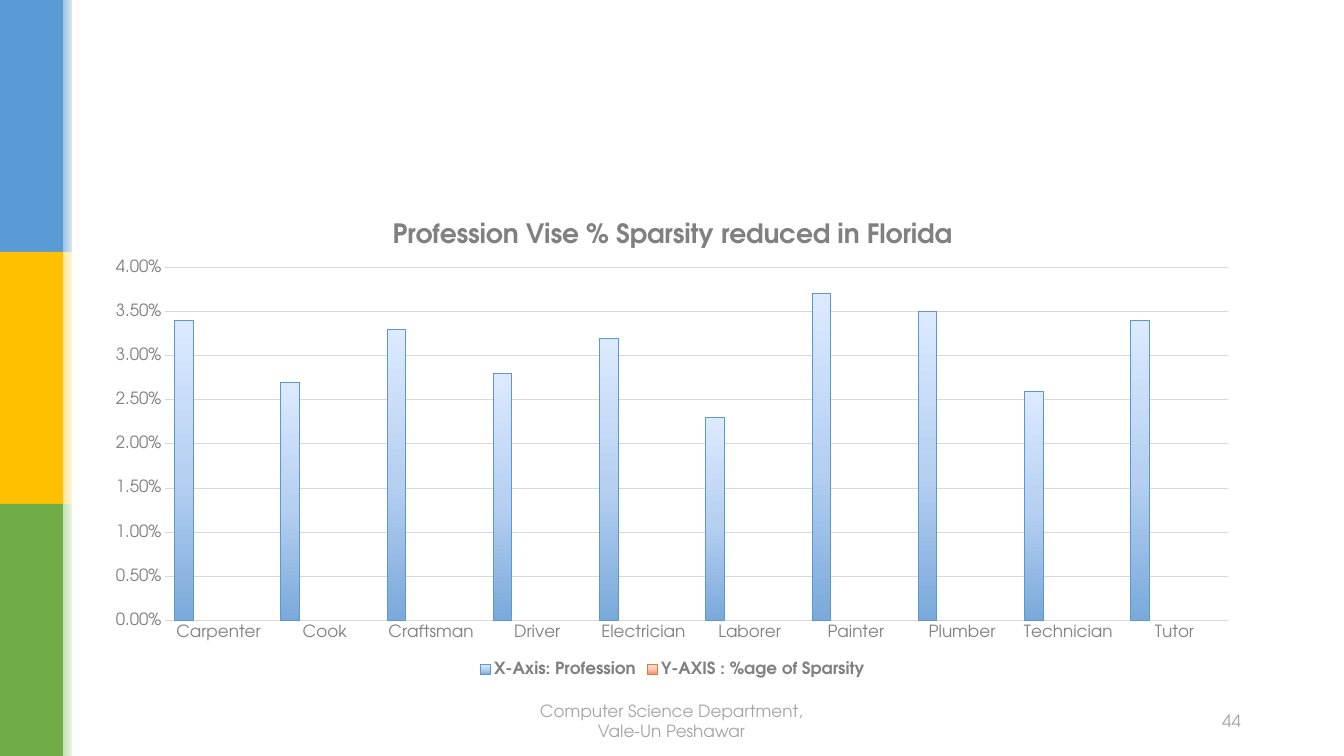
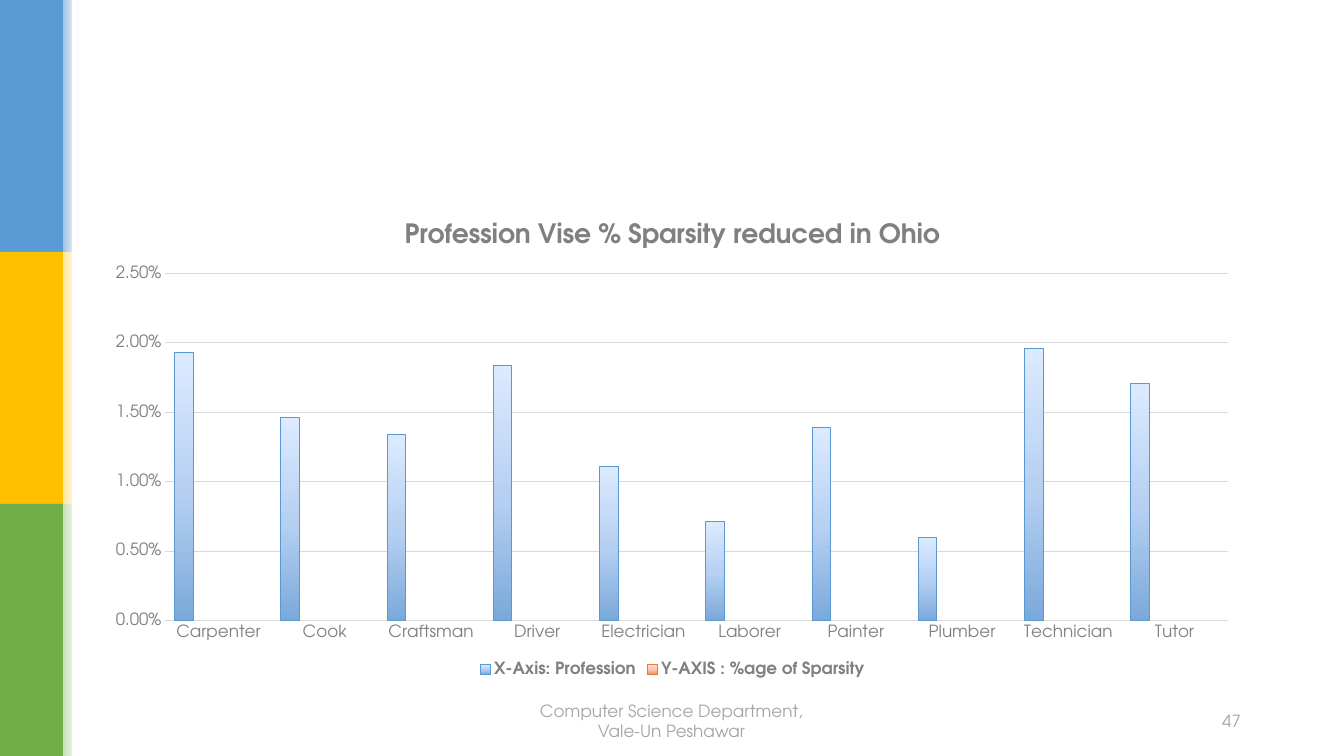
from pptx import Presentation
from pptx.chart.data import CategoryChartData as Data
from pptx.dml.color import RGBColor as RGB
from pptx.enum.chart import XL_CHART_TYPE as Kind, XL_LEGEND_POSITION as Side, XL_TICK_MARK as Tick
from pptx.enum.shapes import MSO_SHAPE as Form
from pptx.enum.text import MSO_ANCHOR as Anchor, PP_ALIGN as Align
from pptx.oxml import parse_xml
from pptx.oxml.ns import nsdecls, qn
from pptx.util import Cm, Pt

FONT = "TeX Gyre Adventor"
WHITE = RGB(0xFF, 0xFF, 0xFF)
BLUE = RGB(0x5B, 0x9B, 0xD5)
GOLD = RGB(0xFF, 0xC0, 0x00)
GREEN = RGB(0x70, 0xAD, 0x47)
SKY = RGB(0x9D, 0xC3, 0xE6)
CREAM = RGB(0xFF, 0xE6, 0x99)
MINT = RGB(0xC5, 0xE0, 0xB4)
GRAY = RGB(0x80, 0x80, 0x80)
SILVER = RGB(0xA5, 0xA5, 0xA5)
RULE = RGB(0xD9, 0xD9, 0xD9)

BANDS = [(BLUE, SKY), (GOLD, CREAM), (GREEN, MINT)]
JOBS = ["Carpenter", "Cook", "Craftsman", "Driver", "Electrician",
        "Laborer", "Painter", "Plumber", "Technician", "Tutor"]
SERIES = [
    ("X-Axis: Profession", RGB(0x59, 0x98, 0xD0),
     [(0, RGB(0x7A, 0xA9, 0xDA)), (48, RGB(0xB6, 0xD0, 0xF2)), (100, RGB(0xDC, 0xEA, 0xFF))]),
    ("Y-AXIS : %age of Sparsity", RGB(0xE8, 0x7A, 0x30),
     [(0, RGB(0xEF, 0x91, 0x66)), (48, RGB(0xFF, 0xC2, 0xAF)), (100, RGB(0xFF, 0xE6, 0xDF))]),
    ("Series 3", RGB(0xA1, 0xA1, 0xA1),
     [(0, RGB(0xB1, 0xB1, 0xB1)), (48, RGB(0xD5, 0xD5, 0xD5)), (100, RGB(0xED, 0xED, 0xED))]),
    ("Series 4", RGB(0xF9, 0xBC, 0x00),
     [(0, RGB(0xFF, 0xC7, 0x5E)), (48, RGB(0xFF, 0xE0, 0xB6)), (100, RGB(0xFF, 0xF2, 0xE2))]),
]
STATES = [
    ("Florida", "44", 0.04, 1.66,
     [0.034, 0.027, 0.033, 0.028, 0.032, 0.023, 0.037, 0.035, 0.026, 0.034]),
    ("Ohio", "47", 0.025, 1.81,
     [0.0193, 0.0146, 0.0134, 0.0184, 0.0111, 0.0071, 0.0139, 0.006, 0.0196, 0.0171]),
]
WIDE, HIGH = 29.21, 12.09
BASE = 10.56


def write(frame, text, size=12, color=SILVER, bold=False, align=Align.CENTER):
    frame.text = text
    para = frame.paragraphs[0]
    para.alignment = align
    font = para.runs[0].font
    font.name, font.size, font.bold = FONT, Pt(size), bold
    font.color.rgb = color


def fade(props, angle, stops):
    marks = "".join(f'<a:gs pos="{pos * 1000}"><a:srgbClr val="{color}"/></a:gs>'
                    for pos, color in stops)
    grad = parse_xml(f'<a:gradFill {nsdecls("a")} rotWithShape="1"><a:gsLst>{marks}</a:gsLst>'
                     f'<a:lin ang="{angle * 60000}" scaled="0"/></a:gradFill>')
    props.replace(props.find(qn("a:noFill")), grad)


deck = Presentation()
deck.slide_width, deck.slide_height = Cm(33.87), Cm(19.05)
blank = deck.slide_layouts[6]
slides = [deck.slides.add_slide(blank) for state in STATES]

tall = 19.05 / len(BANDS)
parts = []
for row, (solid, pale) in enumerate(BANDS):
    parts.append((0, row * tall, 1.59, tall, solid, None))
    parts.append((1.59, row * tall, 0.4, tall, None, pale))
parts.append((1.81, 0, 0.13, 19.05, WHITE, None))
for left, top, wide, high, solid, pale in parts:
    band = slides[0].shapes.add_shape(Form.RECTANGLE, Cm(left), Cm(top), Cm(wide), Cm(high))
    band.shadow.inherit = False
    band.line.fill.background()
    if solid:
        band.fill.solid()
        band.fill.fore_color.rgb = solid
    else:
        band.fill.background()
        fade(band.element.spPr, 0, [(0, pale), (100, WHITE)])
    blank.shapes.element.append(band.element)

for slide, (state, page, peak, top, rates) in zip(slides, STATES):
    data = Data(number_format="0.00%")
    data.categories = JOBS
    for index, (name, edge, stops) in enumerate(SERIES):
        data.add_series(name, rates if index == 0 else [None] * len(JOBS))
    chart = slide.shapes.add_chart(Kind.COLUMN_CLUSTERED, Cm(2.34), Cm(5.08),
                                   Cm(WIDE), Cm(HIGH), data).chart
    chart.font.name, chart.font.size = FONT, Pt(10)
    write(chart.chart_title.text_frame, f"Profession Vise % Sparsity reduced in {state}",
          size=19, color=GRAY, bold=True)

    plot = chart.plots[0]
    plot.gap_width, plot.overlap, plot.vary_by_categories = 100, -24, False
    root = chart.element
    for bars, (name, edge, stops) in zip(plot.series, SERIES):
        bars.format.fill.background()
        bars.format.line.color.rgb = edge
        bars.format.line.width = Pt(0.75)
    for props, (name, edge, stops) in zip(root.xpath(".//c:ser/c:spPr"), SERIES):
        fade(props, 270, stops)

    chart.has_legend = True
    legend = chart.legend
    legend.position, legend.include_in_layout = Side.BOTTOM, False
    legend.font.bold = True
    cats, vals = chart.category_axis, chart.value_axis
    for font in (legend.font, cats.tick_labels.font, vals.tick_labels.font):
        font.name, font.size = FONT, Pt(12)
        font.color.rgb = GRAY
    for axis in (cats, vals):
        axis.major_tick_mark = axis.minor_tick_mark = Tick.NONE
    vals.has_major_gridlines = True
    for line in (cats.format.line, vals.major_gridlines.format.line):
        line.color.rgb, line.width = RULE, Pt(0.75)
    vals.format.line.fill.background()
    vals.minimum_scale, vals.maximum_scale, vals.major_unit = 0, peak, 0.005
    vals.tick_labels.number_format = "0.00%"
    vals.tick_labels.number_format_is_linked = False

    for index in (3, 2):
        root.xpath(".//c:legendPos")[0].addnext(parse_xml(
            f'<c:legendEntry {nsdecls("c")}><c:idx val="{index}"/><c:delete val="1"/></c:legendEntry>'))
    area = root.xpath(".//c:plotArea")[0]
    for old in area.findall(qn("c:layout")):
        area.remove(old)
    area.insert(0, parse_xml(
        f'<c:layout {nsdecls("c")}><c:manualLayout><c:layoutTarget val="inner"/>'
        f'<c:xMode val="edge"/><c:yMode val="edge"/>'
        f'<c:x val="{1.83 / WIDE}"/><c:y val="{top / HIGH}"/>'
        f'<c:w val="{26.77 / WIDE}"/><c:h val="{(BASE - top) / HIGH}"/>'
        f'</c:manualLayout></c:layout>'))

    for text, left, wide, align in (
            ("Computer Science Department, Vale-Un Peshawar", 12.9, 8.05, Align.CENTER),
            (page, 22.43, 9.09, Align.RIGHT)):
        frame = slide.shapes.add_textbox(Cm(left), Cm(17.65), Cm(wide), Cm(1.02)).text_frame
        frame.word_wrap, frame.vertical_anchor = True, Anchor.MIDDLE
        write(frame, text, align=align)

deck.save("out.pptx")
